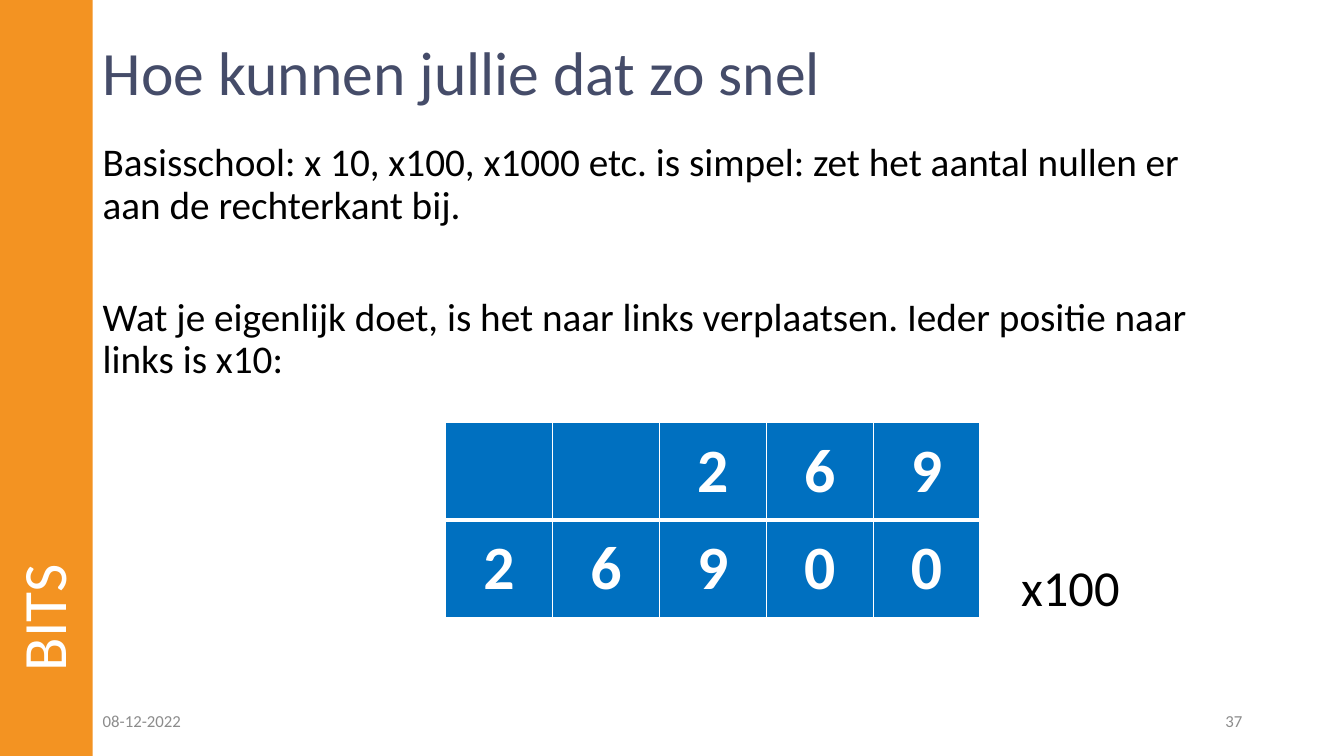
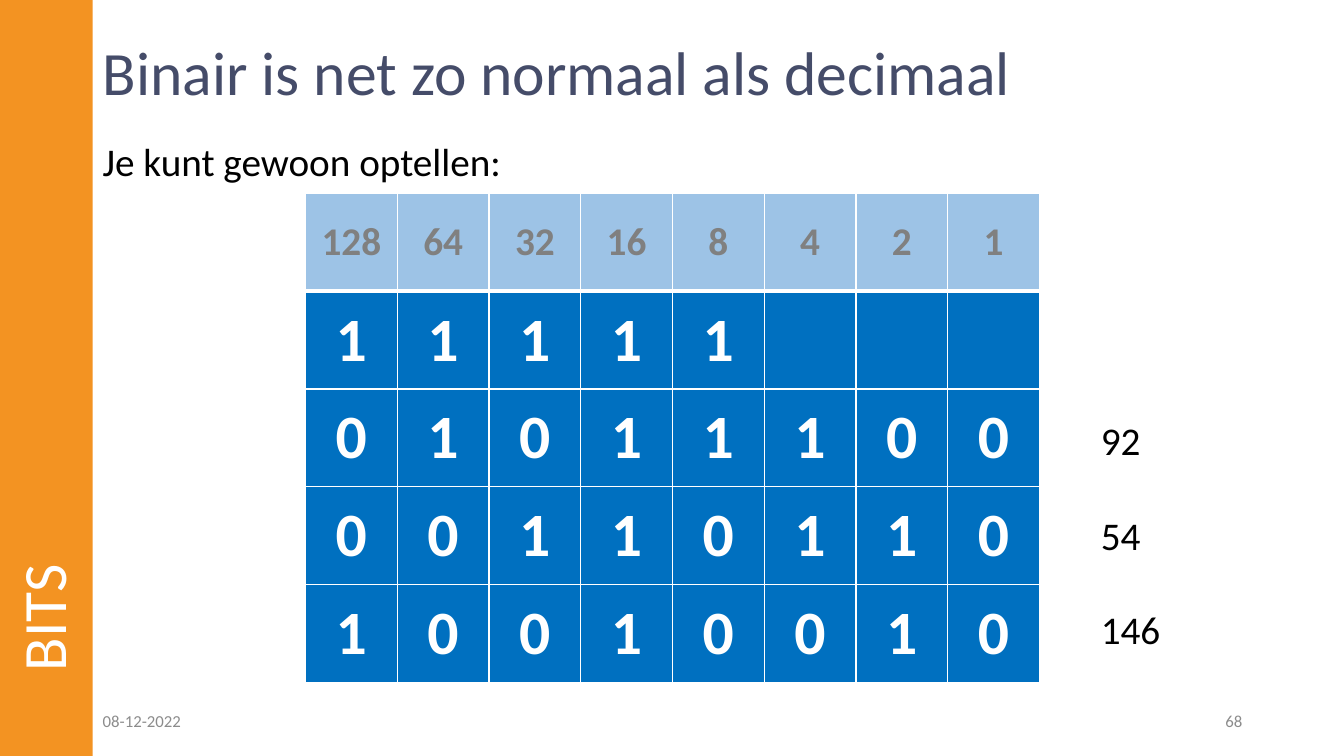
from lxml import etree
from pptx import Presentation
from pptx.dml.color import RGBColor
from pptx.enum.shapes import MSO_SHAPE
from pptx.enum.text import MSO_ANCHOR, MSO_AUTO_SIZE, PP_ALIGN
from pptx.oxml.ns import qn
from pptx.util import Inches, Pt

RECTANGLE = MSO_SHAPE.RECTANGLE
TOP, MIDDLE = MSO_ANCHOR.TOP, MSO_ANCHOR.MIDDLE
LEFT, CENTER, RIGHT = PP_ALIGN.LEFT, PP_ALIGN.CENTER, PP_ALIGN.RIGHT
NO_AUTOFIT = MSO_AUTO_SIZE.NONE

FONT = "Calibri"
COLORS = {
    "band": "F39322",
    "title": "454C69",
    "text": "000000",
    "footer": "8C8C8C",
    "white": "FFFFFF",
    "digit_fill": "0070C0",
    "weight_fill": "9DC3E6",
    "weight_text": "808080",
}
SECTION = "BITS"
DATE = "08-12-2022"
BAND_WIDTH = 0.92
CONTENT_WIDTH = 11.5
ROW_HEIGHT = 0.97
THIN, THICK = 1, 3

SLIDES = [
    {
        "title": "Hoe kunnen jullie dat zo snel",
        "body": [
            "Basisschool: x 10, x100, x1000 etc. is simpel: zet het aantal nullen er aan de rechterkant bij.",
            "Wat je eigenlijk doet, is het naar links verplaatsen. Ieder positie naar links is x10:",
        ],
        "number": "37",
        "weights": [],
        "digits": ["  269", "26900"],
        "grid": (4.42, 4.19, 1.06),
        "results": ["x100"],
        "result_box": (10.03, 5.47, 1.77, 0.71),
        "result_size": 36,
    },
    {
        "title": "Binair is net zo normaal als decimaal",
        "body": ["Je kunt gewoon optellen:"],
        "number": "68",
        "weights": ["128", "64", "32", "16", "8", "4", "2", "1"],
        "digits": ["11111   ", "01011100", "00110110", "10010010"],
        "grid": (3.03, 1.92, 0.91),
        "results": ["92", "54", "146"],
        "result_box": (10.82, 4.08, 1.97, 0.57),
        "result_size": 28,
    },
]
RESULT_STEP = 0.94


def rgb(name):
    return RGBColor.from_string(COLORS[name])


def write(frame, paragraphs, size, color, align=LEFT, anchor=TOP,
          bold=False, spacing=1.0, gap=0):
    frame.word_wrap = True
    frame.vertical_anchor = anchor
    for index, text in enumerate(paragraphs):
        paragraph = frame.add_paragraph() if index else frame.paragraphs[0]
        paragraph.alignment = align
        paragraph.line_spacing = spacing
        paragraph.space_before = Pt(gap if index else 0)
        run = paragraph.add_run()
        run.text = text
        run.font.name = FONT
        run.font.size = Pt(size)
        run.font.bold = bold
        run.font.color.rgb = rgb(color)


def add_text(slide, box, paragraphs, size, color, **style):
    label = slide.shapes.add_textbox(*map(Inches, box))
    write(label.text_frame, paragraphs, size, color, **style)
    return label


def add_frame(slide, title, number):
    band = slide.shapes.add_shape(RECTANGLE, 0, 0, Inches(BAND_WIDTH), Inches(7.5))
    band.shadow.inherit = False
    band.fill.solid()
    band.fill.fore_color.rgb = rgb("band")
    band.line.fill.background()

    heading = slide.shapes.title
    heading.left, heading.top = Inches(BAND_WIDTH), Inches(0.32)
    heading.width, heading.height = Inches(CONTENT_WIDTH), Inches(0.86)
    write(heading.text_frame, [title], 44, "title", anchor=MIDDLE, spacing=0.9)
    heading.text_frame.auto_size = NO_AUTOFIT

    section = add_text(slide, (-2.92, 2.92, 6.76, BAND_WIDTH), [SECTION], 44,
                       "white", anchor=MIDDLE, spacing=0.9)
    section.rotation = 270
    for left, text, align in ((BAND_WIDTH, DATE, LEFT), (9.42, number, RIGHT)):
        add_text(slide, (left, 6.95, 3, 0.4), [text], 12, "footer",
                 align=align, anchor=MIDDLE)


def set_borders(cell, top, bottom):
    properties = cell._tc.get_or_add_tcPr()
    for side, width in (("L", THIN), ("R", THIN), ("T", top), ("B", bottom)):
        line = etree.SubElement(properties, qn(f"a:ln{side}"), w=str(Pt(width)))
        fill = etree.SubElement(line, qn("a:solidFill"))
        etree.SubElement(fill, qn("a:srgbClr"), val=COLORS["white"])


def add_grid(slide, weights, digits, grid):
    left, top, column_width = grid
    rows = ([weights] if weights else []) + [list(row) for row in digits]
    columns = len(rows[0])
    table = slide.shapes.add_table(
        len(rows), columns, Inches(left), Inches(top),
        Inches(columns * column_width), Inches(len(rows) * ROW_HEIGHT)).table
    for column in table.columns:
        column.width = Inches(column_width)
    for r, values in enumerate(rows):
        table.rows[r].height = Inches(ROW_HEIGHT)
        is_weight = bool(weights) and r == 0
        size, color, fill = ((28, "weight_text", "weight_fill") if is_weight
                             else (44, "white", "digit_fill"))
        for c, value in enumerate(values):
            cell = table.cell(r, c)
            set_borders(cell, THICK if r == 1 else THIN, THICK if r == 0 else THIN)
            cell.fill.solid()
            cell.fill.fore_color.rgb = rgb(fill)
            cell.vertical_anchor = MIDDLE
            if value.strip():
                write(cell.text_frame, [value], size, color, align=CENTER,
                      anchor=MIDDLE, bold=True)


def add_results(slide, results, box, size):
    left, top, width, height = box
    for index, result in enumerate(results):
        add_text(slide, (left, top + index * RESULT_STEP, width, height),
                 [result], size, "text")


def main():
    deck = Presentation()
    deck.slide_width, deck.slide_height = Inches(13.33), Inches(7.5)
    title_only = deck.slide_layouts[5]
    for content in SLIDES:
        slide = deck.slides.add_slide(title_only)
        add_frame(slide, content["title"], content["number"])
        add_text(slide, (BAND_WIDTH, 1.37, CONTENT_WIDTH, 5.39), content["body"],
                 28, "text", spacing=0.9, gap=50)
        add_grid(slide, content["weights"], content["digits"], content["grid"])
        add_results(slide, content["results"], content["result_box"],
                    content["result_size"])
    deck.save("out.pptx")


if __name__ == "__main__":
    main()
